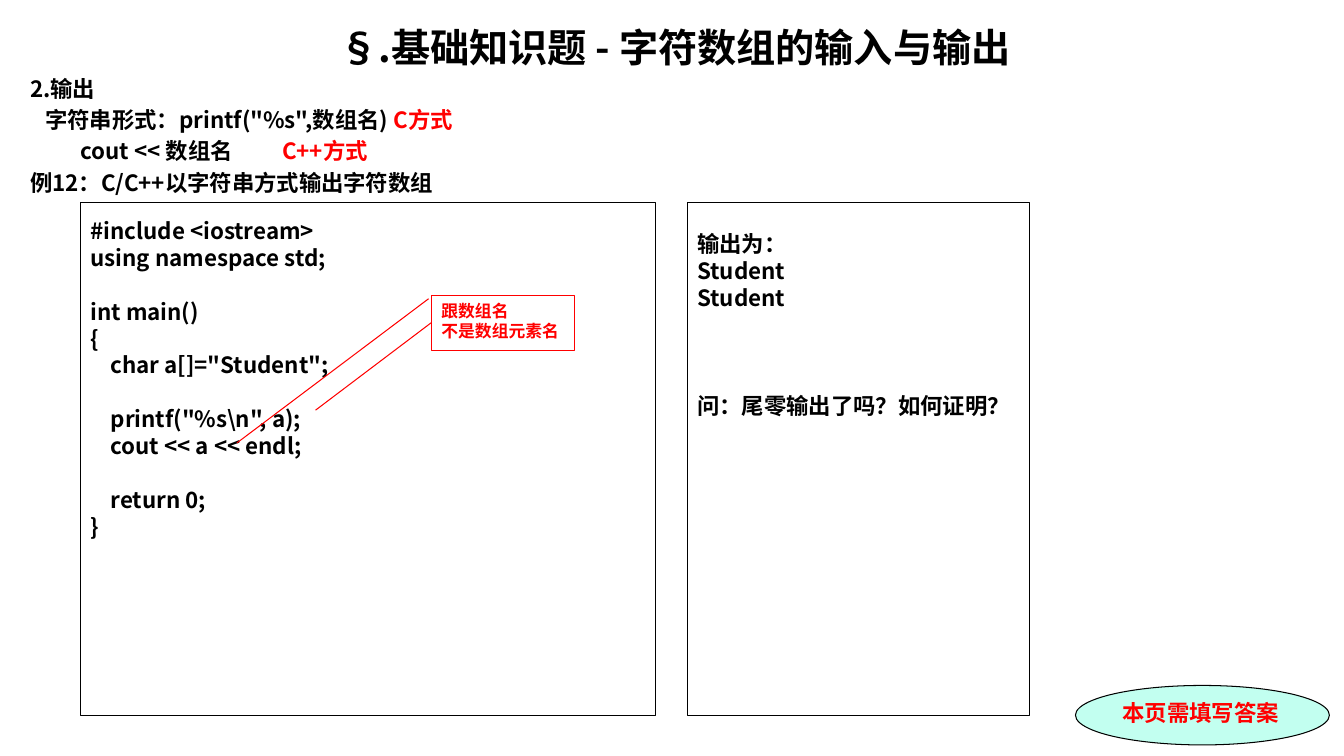
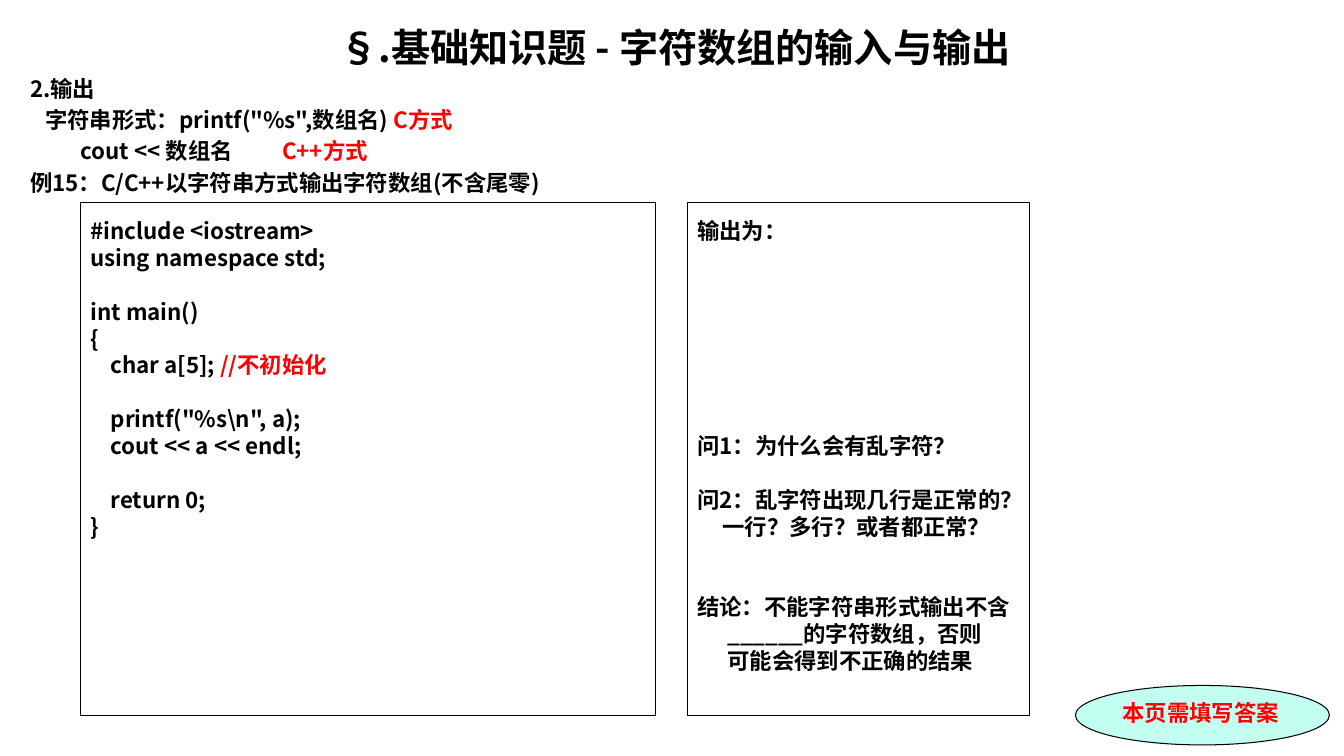
from dataclasses import dataclass

from lxml.etree import SubElement
from pptx import Presentation
from pptx.dml.color import RGBColor as RGB
from pptx.enum.shapes import MSO_CONNECTOR as Link, MSO_SHAPE as Kind
from pptx.enum.text import MSO_ANCHOR as Anchor, PP_ALIGN as Align
from pptx.oxml.ns import qn
from pptx.util import Pt


@dataclass(frozen=True)
class Theme:
    ink: RGB = RGB(0, 0, 0)
    red: RGB = RGB(255, 0, 0)
    mint: RGB = RGB(0xC2, 0xFF, 0xF0)
    sans: str = "Noto Sans CJK SC"
    serif: str = "Times New Roman"
    title: float = 28
    body: float = 16
    note: float = 12
    lead: float = 1.2
    space: float = 3.6
    rule: float = 0.75


class Deck:
    def __init__(self, theme):
        self.theme = theme
        self.file = Presentation()
        self.file.slide_width, self.file.slide_height = Pt(960), Pt(540)

    def page(self):
        self.slide = self.file.slides.add_slide(self.file.slide_layouts[6])

    def para(self, para, text, size, color, face, gap=0, align=Align.LEFT):
        """Fill a paragraph; leading spaces become an indent, text after | is red."""
        look = self.theme
        line = text.lstrip(" ")
        form = {"alignment": align, "space_before": Pt(gap),
                "line_spacing": Pt(size * look.lead)}
        for key, value in form.items():
            setattr(para, key, value)
        indent = (len(text) - len(line)) * look.space
        props = para._p.get_or_add_pPr()
        props.set("marL", str(Pt(indent)))
        props.set("indent", "0")
        for piece, tint in zip(line.split("|"), (color, look.red)):
            if not piece:
                continue
            run = para.add_run()
            run.text = piece
            run.font.color.rgb = tint
            for key, value in {"name": face, "size": Pt(size), "bold": True}.items():
                setattr(run.font, key, value)
            SubElement(run._r.get_or_add_rPr(), qn("a:ea"), typeface=look.sans)

    def stops(self, para, *places):
        tabs = SubElement(para._p.get_or_add_pPr(), qn("a:tabLst"))
        for place in places:
            SubElement(tabs, qn("a:tab"), pos=str(Pt(place)), algn="l")

    def lines(self, frame, text, size, color, face):
        """Write a block of lines; blank lines become space before the next one."""
        gap, para = 0, None
        for line in text.strip("\n").split("\n"):
            if not line:
                gap += size * self.theme.lead
                continue
            para = frame.add_paragraph() if para else frame.paragraphs[0]
            self.para(para, line, size, color, face, gap)
            gap = 0

    def shape(self, kind, box, line, fill=None):
        shape = self.slide.shapes.add_shape(kind, *map(Pt, box))
        shape.shadow.inherit = False
        if fill is None:
            shape.fill.background()
        else:
            shape.fill.solid()
            shape.fill.fore_color.rgb = fill
        shape.line.color.rgb = line
        shape.line.width = Pt(self.theme.rule)
        shape.text_frame.vertical_anchor = Anchor.TOP
        return shape

    def head(self, title, rows):
        look = self.theme
        box = map(Pt, (14.4, 13, 935.3, 510.5))
        frame = self.slide.shapes.add_textbox(*box).text_frame
        frame.word_wrap = True
        self.para(frame.paragraphs[0], title, look.title, look.ink, look.sans,
                  align=Align.CENTER)
        for row in rows:
            para = frame.add_paragraph()
            self.para(para, row, look.body, look.ink, look.sans, gap=look.body * 0.2)
            if "\t" in row:
                self.stops(para, 54, 192.6)

    def panel(self, left, width, text, top=10.4):
        look = self.theme
        shape = self.shape(Kind.RECTANGLE, (left, 144.7, width, 366.5), look.ink)
        frame = shape.text_frame
        for key, value in {"word_wrap": False, "margin_top": Pt(top)}.items():
            setattr(frame, key, value)
        self.lines(frame, text, look.body, look.ink, look.sans)

    def badge(self, text):
        look = self.theme
        shape = self.shape(Kind.OVAL, (768.2, 489.6, 181.4, 42.5), look.ink, look.mint)
        self.lines(shape.text_frame, text, look.body, look.red, look.serif)

    def note(self, text, box, bends):
        look = self.theme
        shape = self.shape(Kind.LINE_CALLOUT_1, box, look.red)
        for index, bend in enumerate(bends):
            shape.adjustments[index] = bend
        self.lines(shape.text_frame, text, look.note, look.red, look.serif)

    def line(self, *ends):
        link = self.slide.shapes.add_connector(Link.STRAIGHT, *map(Pt, ends))
        link.line.color.rgb = self.theme.red
        link.line.width = Pt(self.theme.rule)
        SubElement(link._element.spPr, qn("a:effectLst"))


TITLE = "§.基础知识题 - 字符数组的输入与输出"
ROWS = [
    "2.输出",
    '   字符串形式：printf("%s",数组名) |C方式',
    "\tcout << 数组名\t|C++方式",
]
CODE = r"""
#include <iostream>
using namespace std;

int main()
{
    DECL

    printf("%s\n", a);
    cout << a << endl;

    return 0;
}
"""
SHOWN = """
输出为：
Student
Student



问：尾零输出了吗？如何证明？
"""
ASKED = """
输出为：







问1：为什么会有乱字符？

问2：乱字符出现几行是正常的？
     一行？多行？或者都正常？


结论：不能字符串形式输出不含
      ______的字符数组，否则
      可能会得到不正确的结果
"""


def sheet(deck, topic, decl, result, top):
    """Add a slide with heading, program, result and badge."""
    deck.page()
    deck.head(TITLE, ROWS + [topic])
    deck.badge("本页需填写答案")
    deck.panel(57.6, 410.4, CODE.replace("DECL", decl))
    deck.panel(491, 244.1, result, top)


def main():
    deck = Deck(Theme())
    sheet(deck, "例12：C/C++以字符串方式输出字符数组", 'char a[]="Student";', SHOWN, 20)
    deck.note("跟数组名\n不是数组元素名", (308.2, 211, 102.2, 39.6),
              (0.06, -0.02, 2.66, -1.36))
    deck.line(308.2, 230.4, 225.4, 293)
    sheet(deck, "例15：C/C++以字符串方式输出字符数组(不含尾零)",
          "char a[5]; |//不初始化", ASKED, 10.4)
    deck.file.save("out.pptx")


if __name__ == "__main__":
    main()
